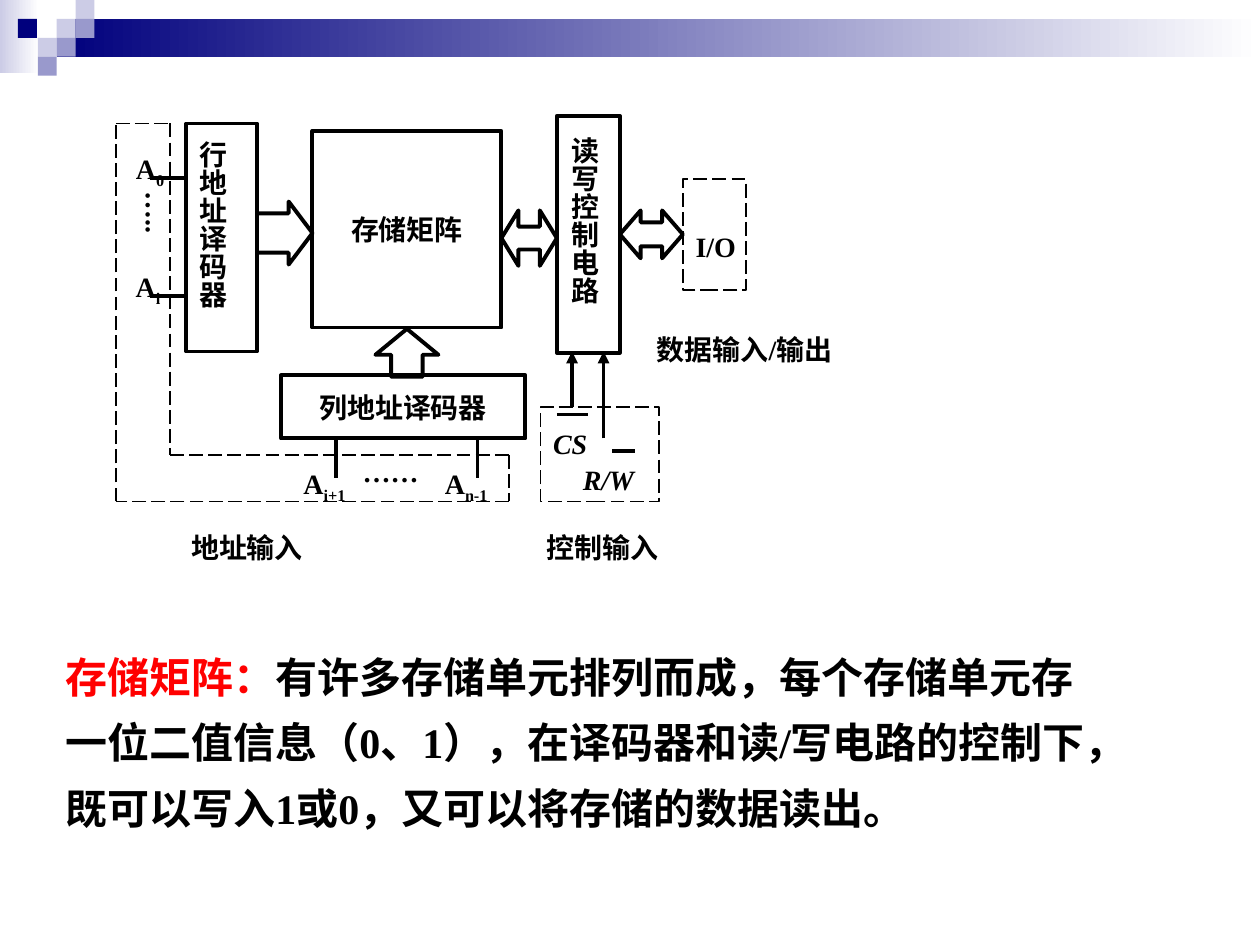
from dataclasses import dataclass

from pptx import Presentation
from pptx.dml.color import RGBColor
from pptx.enum.dml import MSO_LINE
from pptx.enum.shapes import MSO_CONNECTOR, MSO_SHAPE as Kind
from pptx.enum.text import MSO_ANCHOR, MSO_AUTO_SIZE, PP_ALIGN
from pptx.oxml import parse_xml
from pptx.oxml.ns import nsdecls, qn
from pptx.util import Inches, Pt


@dataclass(frozen=True)
class Theme:
    font: str = "Times New Roman"
    ink: str = "000000"
    accent: str = "FF0000"
    white: str = "FFFFFF"
    navy: str = "00007D"
    violet: str = "9999CC"
    pale: str = "CCCCE6"
    label_size: float = 16
    body_size: float = 24
    thick: float = 2.25
    thin: float = 1


THEME = Theme()


def color(code):
    return RGBColor.from_string(code)


def style_span(span, size=THEME.label_size, ink=THEME.ink, italic=False):
    span.font.name, span.font.size = THEME.font, Pt(size)
    span.font.bold, span.font.italic = True, italic
    span.font.color.rgb = color(ink)


@dataclass
class Region:
    """A part of the page; lengths are inches from its top left corner."""
    page: object
    left: float
    top: float

    def place(self, x, y):
        return Inches(self.left + x), Inches(self.top + y)

    def stroke(self, line, dashed):
        line.color.rgb = color(THEME.ink)
        line.width = Pt(THEME.thin if dashed else THEME.thick)
        if dashed:
            line.dash_style = MSO_LINE.LONG_DASH

    def shape(self, kind, x, y, width, height, adjust=(), fill=None, dashed=False):
        shape = self.page.shapes.add_shape(
            kind, *self.place(x, y), Inches(width), Inches(height))
        shape.shadow.inherit = False
        for index, value in enumerate(adjust):
            shape.adjustments[index] = value
        if fill:
            shape.fill.solid()
            shape.fill.fore_color.rgb = color(fill)
        else:
            shape.fill.background()
        self.stroke(shape.line, dashed)
        return shape

    def line(self, start, end, dashed=False, arrow=False):
        line = self.page.shapes.add_connector(
            MSO_CONNECTOR.STRAIGHT, *self.place(*start), *self.place(*end))
        self.stroke(line.line, dashed)
        if arrow:
            line.line._get_or_add_ln().append(
                parse_xml(f'<a:tailEnd {nsdecls("a")} type="triangle"/>'))
        line._element.spPr.append(parse_xml(f'<a:effectLst {nsdecls("a")}/>'))

    def text(self, words, x, y, width, height=0.37, sub="", italic=False, vertical=False):
        box = self.page.shapes.add_textbox(
            *self.place(x, y), Inches(width), Inches(height))
        frame = box.text_frame
        frame.word_wrap, frame.auto_size = False, MSO_AUTO_SIZE.SHAPE_TO_FIT_TEXT
        # Narrow margins leave each label room to stay on one line
        frame.margin_left = frame.margin_right = Inches(0.05)
        if vertical:
            frame.margin_top = frame.margin_bottom = Inches(0.02)
            frame._txBody.find(qn("a:bodyPr")).set("vert", "eaVert")
        write_label(frame, words, italic)
        if sub:
            span = frame.paragraphs[0].add_run()
            span.text = sub
            style_span(span)
            span.font._element.set("baseline", "-25000")


def write_label(frame, words, italic=False):
    frame.text = words
    para = frame.paragraphs[0]
    para.alignment = PP_ALIGN.CENTER
    style_span(para.runs[0], italic=italic)


def titled_block(region, words, x, y, width, height):
    frame = region.shape(Kind.RECTANGLE, x, y, width, height).text_frame
    frame.vertical_anchor = MSO_ANCHOR.MIDDLE
    frame.word_wrap = False
    write_label(frame, words)


def draw_banner(region):
    # Fading bars
    for x, y, width, height, shade in [(0, 0, 0.31, 0.58, THEME.pale),
                                       (0.45, 0.15, 9.55, 0.3, THEME.navy)]:
        bar = region.shape(Kind.RECTANGLE, x, y, width, height)
        bar.line.fill.background()
        bar.fill.gradient()
        bar.fill.gradient_angle = 0
        for stop, code in zip(bar.fill.gradient_stops, (shade, THEME.white)):
            stop.color.rgb = color(code)
    # Checker squares
    side = 0.15
    for column, row, shade in [(3, 1, THEME.pale), (4, 0, THEME.pale),
                               (4, 1, THEME.violet), (2, 2, THEME.pale),
                               (0.95, 1, THEME.navy), (3, 2, THEME.violet),
                               (2, 3, THEME.violet)]:
        square = region.shape(Kind.RECTANGLE, column * side, row * side,
                              side, side, fill=shade)
        square.line.fill.background()


def draw_row_decoder(region):
    for sub, y, width in [("0", 0.43, 0.42), ("i", 1.37, 0.39)]:
        region.line((0.27, y), (0.71, y))
        region.text("A", 0.06, y - 0.26, width, 0.41, sub=sub)
    region.shape(Kind.RECTANGLE, 0.56, 0, 0.56, 1.81, fill=THEME.white)
    region.text("行地址译码器", 0.49, 0.12, 0.46, 1.43, vertical=True)
    region.text("…..", 0.05, 0.52, 0.46, 0.44, vertical=True)
    region.shape(Kind.RIGHT_ARROW, 1.12, 0.62, 0.44, 0.5, (0.625, 0.429))


def draw_column_decoder(region):
    titled_block(region, "列地址译码器", 0, 0.37, 1.94, 0.5)
    for sub, x, width in [("i+1", 0.44, 0.53), ("n-1", 1.56, 0.54)]:
        region.line((x, 0.87), (x, 1.18))
        region.text("A", x - 0.36, 1.04, width, 0.41, sub=sub)
    region.text("……", 0.55, 0.95, 0.64)
    region.shape(Kind.UP_ARROW, 0.75, 0, 0.5, 0.38, (0.5, 0.542))


def draw_matrix(region):
    titled_block(region, "存储矩阵", 0, 0, 1.5, 1.56)
    region.shape(Kind.LEFT_RIGHT_ARROW, 1.5, 0.63, 0.44, 0.44, (0.411, 0.307))


def draw_control(region):
    region.shape(Kind.RECTANGLE, 0.18, 0, 0.5, 1.88)
    region.text("读写控制电路", 0.12, 0.15, 0.46, 1.43, vertical=True)
    # Control signals, each with a bar over its active-low letter
    region.shape(Kind.RECTANGLE, 0.05, 2.31, 0.94, 0.75, dashed=True)
    for x, bottom in [(0.3, 2.31), (0.55, 2.56)]:
        region.line((x, bottom), (x, 1.87), arrow=True)
    for words, x, y, width, bar_left, bar_right, bar_y in [
            ("CS", 0.05, 2.42, 0.47, 0.18, 0.43, 2.37),
            ("R/W", 0.29, 2.7, 0.6, 0.62, 0.8, 2.66)]:
        region.text(words, x, y, width, italic=True)
        region.line((bar_left, bar_y), (bar_right, bar_y))
    region.text("控制输入", 0, 3.24, 1.08)


def draw_data_port(region):
    region.shape(Kind.LEFT_RIGHT_ARROW, 0, 0.25, 0.5, 0.38, (0.5, 0.434))
    region.shape(Kind.RECTANGLE, 0.5, 0, 0.5, 0.88, dashed=True)
    region.text("I/O", 0.5, 0.35, 0.52)
    region.text("数据输入/输出", 0.14, 1.17, 1.7)


def draw_address_outline(region):
    corners = [(0, 0), (0.43, 0), (0.43, 2.63), (3.12, 2.63), (3.12, 3), (0, 3)]
    for start, end in zip(corners, corners[1:] + corners[:1]):
        region.line(start, end, dashed=True)
    region.text("地址输入", 0.5, 3.18, 1.08)


def draw_explanation(region):
    box = region.page.shapes.add_textbox(
        *region.place(0, 0), Inches(8.45), Inches(1.66))
    box.text_frame.word_wrap = True
    para = box.text_frame.paragraphs[0]
    para.line_spacing = 1.3
    for words, ink in [
            ("存储矩阵：", THEME.accent),
            ("有许多存储单元排列而成，每个存储单元存一位二值信息（0、1），"
             "在译码器和读/写电路的控制下，既可以写入1或0，"
             "又可以将存储的数据读出。", THEME.ink)]:
        span = para.add_run()
        span.text = words
        style_span(span, THEME.body_size, ink)


def main():
    deck = Presentation()
    deck.slide_width, deck.slide_height = Inches(10), Inches(7.5)
    page = deck.slides.add_slide(deck.slide_layouts[6])
    for draw, left, top in [(draw_banner, 0, 0),
                            (draw_row_decoder, 0.92, 0.98),
                            (draw_column_decoder, 2.23, 2.61),
                            (draw_matrix, 2.48, 1.04),
                            (draw_control, 4.24, 0.92),
                            (draw_data_port, 4.92, 1.42),
                            (draw_address_outline, 0.92, 0.98),
                            (draw_explanation, 0.42, 5)]:
        draw(Region(page, left, top))
    deck.save("out.pptx")


if __name__ == "__main__":
    main()
